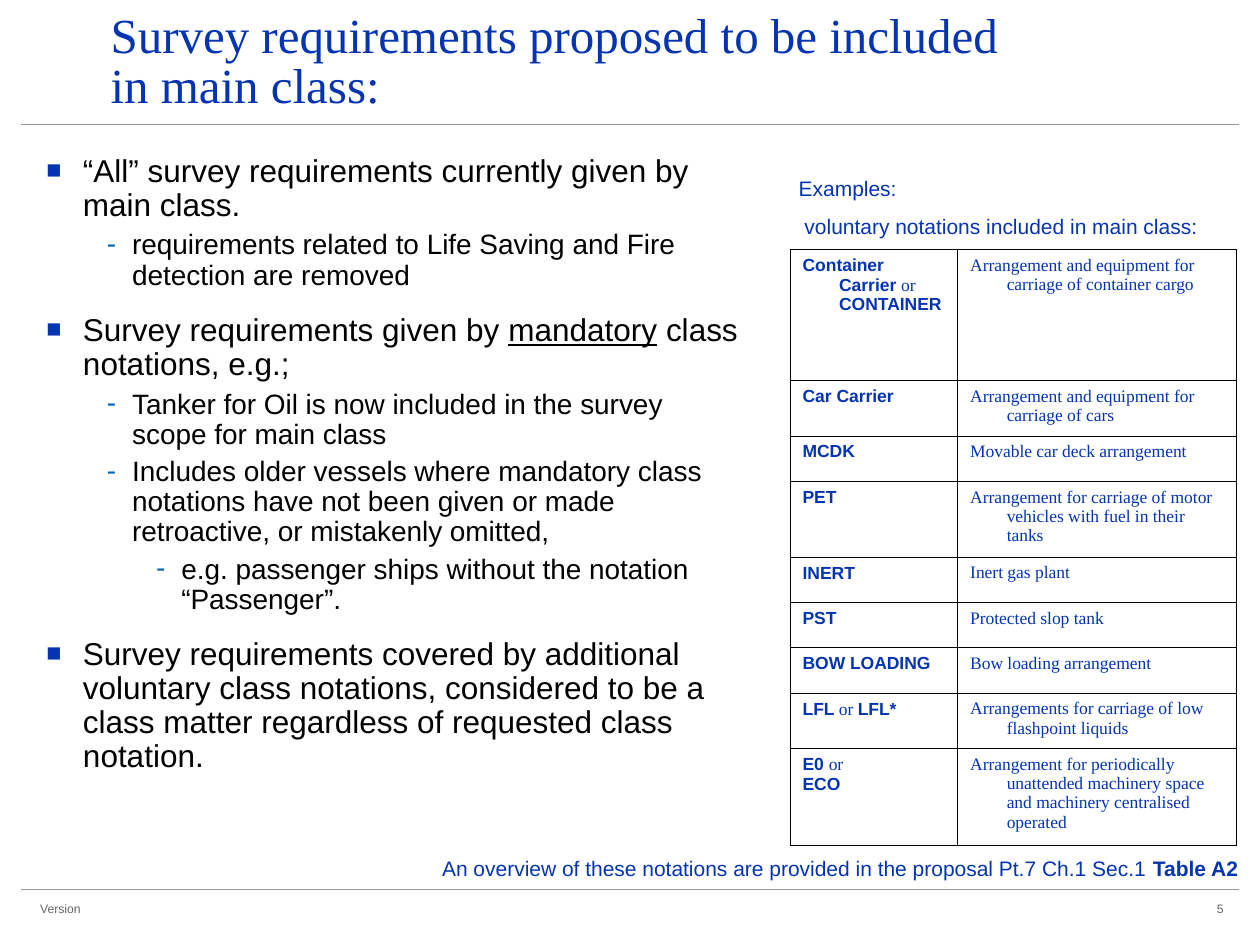
from lxml.etree import SubElement
from pptx import Presentation
from pptx.dml.color import RGBColor
from pptx.enum.shapes import MSO_CONNECTOR as Connector
from pptx.enum.text import MSO_ANCHOR as Anchor, PP_ALIGN as Align
from pptx.oxml.ns import qn
from pptx.util import Inches, Pt

COLS, ROWS = 100, 75
WIDTH, HEIGHT = Inches(10), Inches(7.5)

BLUE = RGBColor(0x04, 0x34, 0xB1)
DASH_BLUE = RGBColor(0x00, 0x66, 0xB3)
BLACK = RGBColor(0x00, 0x00, 0x00)
GREY = RGBColor(0x66, 0x66, 0x66)
RULE_GREY = RGBColor(0x99, 0x99, 0x9E)

SANS, SERIF = "Arial", "Times New Roman"
TITLE = {"name": SERIF, "size": Pt(28), "color": BLUE}
CAPTION = {"name": SANS, "size": Pt(12), "color": BLUE}
FOOTER = {"name": SANS, "size": Pt(7), "color": GREY}
NOTATION = {"name": SANS, "size": Pt(10), "color": BLUE, "bold": True}
MEANING = {"name": SERIF, "size": Pt(10), "color": BLUE, "bold": False}
BODY = {"name": SANS, "color": BLACK}

# One entry per outline level: text size, left margin in columns, hanging
# indent in columns, space before and after, bullet, its colour and size
LEVELS = [
    (18, 2.9, 2.9, 9, 4.5, "■", BLUE, 80),
    (16, 6.8, 2, 0, 4, "-", DASH_BLUE, 100),
    (16, 10.7, 2, 0, 4, "-", DASH_BLUE, 100),
]

OUTLINE = [
    (0, ["“All” survey requirements currently given by main class."]),
    (1, ["requirements related to Life Saving and Fire detection are removed"]),
    (0, ["Survey requirements given by ", ("mandatory", {"underline": True}),
         " class notations, e.g.;"]),
    (1, ["Tanker for Oil is now included in the survey scope for main class"]),
    (1, ["Includes older vessels where mandatory class notations have not "
         "been given or made retroactive, or mistakenly omitted,"]),
    (2, ["e.g. passenger ships without the notation “Passenger”."]),
    (0, ["Survey requirements covered by additional voluntary class "
         "notations, considered to be a class matter regardless of requested "
         "class notation."]),
]

# Row height in grid rows, paragraphs of the notation, meaning
NOTATIONS = [
    (10.4, [["Container Carrier ", ("or ", MEANING), "CONTAINER"]],
     "Arrangement and equipment for carriage of container cargo"),
    (4.4, [["Car Carrier"]], "Arrangement and equipment for carriage of cars"),
    (3.6, [["MCDK"]], "Movable car deck arrangement"),
    (6, [["PET"]],
     "Arrangement for carriage of motor vehicles with fuel in their tanks"),
    (3.6, [["INERT"]], "Inert gas plant"),
    (3.6, [["PST"]], "Protected slop tank"),
    (3.6, [["BOW LOADING"]], "Bow loading arrangement"),
    (4.4, [["LFL", (" or ", MEANING), "LFL*"]],
     "Arrangements for carriage of low flashpoint liquids"),
    (7.7, [["E0 ", ("or", MEANING)], ["ECO"]],
     "Arrangement for periodically unattended machinery space and machinery "
     "centralised operated"),
]


def col(n):
    return round(WIDTH * n / COLS)


def row(n):
    return round(HEIGHT * n / ROWS)


def set_attrs(obj, values):
    for name, value in values.items():
        setattr(obj, name, value)


def add_runs(p, runs, base):
    """Add runs; each is a text, or a text with formats that override base."""
    for item in runs:
        text, extra = (item, {}) if isinstance(item, str) else item
        formats = {**base, **extra}
        r = p.add_run()
        r.text = text
        r.font.color.rgb = formats.pop("color")
        set_attrs(r.font, formats)


def set_indent(p, margin, hanging):
    pPr = p._p.get_or_add_pPr()
    pPr.set("marL", str(col(margin)))
    pPr.set("indent", str(-col(hanging)))
    return pPr


def set_bullet(pPr, char, color, percent):
    clr = SubElement(pPr, qn("a:buClr"))
    SubElement(clr, qn("a:srgbClr"), val=str(color))
    SubElement(pPr, qn("a:buSzPct"), val=str(percent * 1000))
    SubElement(pPr, qn("a:buFont"), typeface=SANS)
    SubElement(pPr, qn("a:buChar"), char=char)


def paragraphs(tf, count):
    return [tf.paragraphs[0]] + [tf.add_paragraph() for _ in range(count - 1)]


def add_text(s, x, y, w, h, lines, base, hanging=0, anchor=Anchor.TOP, **formats):
    sp = s.shapes.add_textbox(col(x), row(y), col(w), row(h))
    tf = sp.text_frame
    set_attrs(tf, {"word_wrap": True, "vertical_anchor": anchor})
    for p, runs in zip(paragraphs(tf, len(lines)), lines):
        add_runs(p, runs, base)
        set_indent(p, hanging, hanging)
        set_attrs(p, formats)


def add_outline(s, x, y, w, h):
    tf = s.shapes.add_textbox(col(x), row(y), col(w), row(h)).text_frame
    tf.word_wrap = True
    for p, (level, runs) in zip(paragraphs(tf, len(OUTLINE)), OUTLINE):
        size, margin, hanging, before, after, *bullet = LEVELS[level]
        add_runs(p, runs, {**BODY, "size": Pt(size)})
        set_attrs(p, {"level": level, "line_spacing": 0.9,
                      "space_before": Pt(before), "space_after": Pt(after)})
        set_bullet(set_indent(p, margin, hanging), *bullet)


def add_rule(s, y):
    line = s.shapes.add_connector(Connector.STRAIGHT, col(1.7), row(y),
                                  col(98.3), row(y))
    line.line.color.rgb = RULE_GREY
    line.line.width = Pt(0.5)
    SubElement(line._element.spPr, qn("a:effectLst"))


def set_borders(cell):
    tcPr = cell._tc.get_or_add_tcPr()
    for side in ("lnL", "lnR", "lnT", "lnB"):
        ln = SubElement(tcPr, qn(f"a:{side}"), w=str(Pt(0.45)))
        fill = SubElement(ln, qn("a:solidFill"))
        SubElement(fill, qn("a:srgbClr"), val=str(BLACK))


def fill_cell(cell, lines, base):
    for p, runs in zip(paragraphs(cell.text_frame, len(lines)), lines):
        add_runs(p, runs, base)
        set_indent(p, 2.9, 2.9)
    set_borders(cell)
    cell.fill.background()


def add_notation_table(s, x, y, widths):
    total = sum(height for height, *_ in NOTATIONS)
    table = s.shapes.add_table(len(NOTATIONS), len(widths), col(x), row(y),
                               col(sum(widths)), row(total)).table
    set_attrs(table, {"first_row": False, "horz_banding": False})
    for column, width in zip(table.columns, widths):
        column.width = col(width)
    for i, (height, notation, meaning) in enumerate(NOTATIONS):
        table.rows[i].height = row(height)
        fill_cell(table.cell(i, 0), notation, NOTATION)
        fill_cell(table.cell(i, 1), [[meaning]], MEANING)


def main():
    prs = Presentation()
    set_attrs(prs, {"slide_width": WIDTH, "slide_height": HEIGHT})
    s = prs.slides.add_slide(prs.slide_layouts[6])
    for y in (9.9, 70.6):
        add_rule(s, y)
    add_text(s, 7.8, 2.4, 74.8, 7.1,
             [["Survey requirements proposed to be included in main class:"]],
             TITLE, anchor=Anchor.BOTTOM, line_spacing=0.85)
    add_outline(s, 2.7, 11.8, 57.1, 51.2)
    add_notation_table(s, 62.7, 19.8, (13.3, 22.1))
    add_text(s, 62.4, 13.4, 34.1, 6.1,
             [["Examples:"], [" voluntary notations included in main class:"]],
             CAPTION, hanging=2, space_before=Pt(7.5))
    add_text(s, 34.1, 67.4, 78.5, 3,
             [["An overview of these notations are provided in the proposal "
               "Pt.7 Ch.1 Sec.1 ", ("Table A2", {"bold": True})]],
             CAPTION, hanging=2, space_before=Pt(7.5))
    add_text(s, 2.2, 71, 31.7, 2.3, [["Version"]], FOOTER)
    add_text(s, 91.6, 71, 6.5, 2.3, [["5"]], FOOTER, alignment=Align.RIGHT)
    prs.save("out.pptx")


if __name__ == "__main__":
    main()
